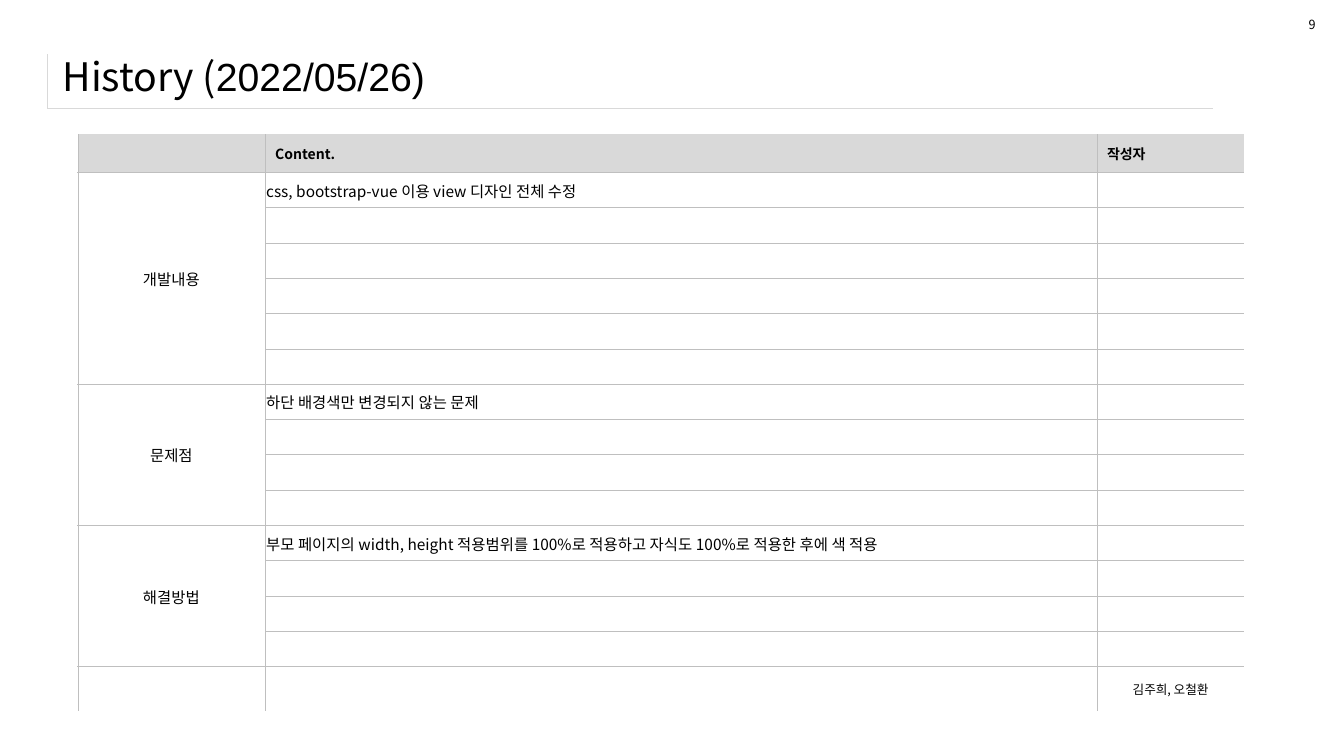
from pptx import Presentation
from pptx.dml.color import RGBColor
from pptx.enum.text import MSO_ANCHOR, PP_ALIGN
from pptx.oxml.ns import qn
from pptx.util import Inches, Pt
from lxml.etree import SubElement

TITLE = [("History (", "Noto Sans CJK KR"), ("2022/05/26)", "Arial")]
PAGE = "9"
HEADER = ["", "Content.", "작성자"]
SECTIONS = [  # label, first entry, number of rows
    ("개발내용", "css, bootstrap-vue 이용 view 디자인 전체 수정", 6),
    ("문제점", "하단 배경색만 변경되지 않는 문제", 4),
    ("해결방법", "부모 페이지의 width, height 적용범위를 100%로 적용하고 "
     "자식도 100%로 적용한 후에 색 적용", 4),
]
AUTHORS = "김주희, 오철환"

FONT = "Noto Sans CJK KR"
BLACK = RGBColor(0, 0, 0)
WHITE = RGBColor(255, 255, 255)
HEAD_GREY = RGBColor(0xD9, 0xD9, 0xD9)
LINE_GREY = RGBColor(0xBF, 0xBF, 0xBF)
NO_STYLE = "{2D5ABB26-0587-4C30-8999-92F81FD0307C}"

COLS = [1.86, 8.25, 1.46]
ROWS = [0.38] + [0.35] * sum(n for _, _, n in SECTIONS) + [0.45]


def add_run(p, text, size, font=FONT, bold=False):
    r = p.add_run()
    r.text = text
    for name, value in dict(size=Pt(size), name=font, bold=bold).items():
        setattr(r.font, name, value)
    r.font.color.rgb = BLACK
    SubElement(r.font._element, qn("a:ea"), typeface=font)


def set_borders(cell, **sides):
    """Each of L, R, T, B is a (colour, points) pair; a side left out is not drawn."""
    tc_pr = cell._tc.get_or_add_tcPr()
    for i, side in enumerate("LRTB"):
        color, width = sides.get(side) or (None, 0)
        ln = SubElement(tc_pr, qn("a:ln" + side), w=str(Pt(width)))
        if color is None:
            SubElement(ln, qn("a:noFill"))
        else:
            fill = SubElement(ln, qn("a:solidFill"))
            SubElement(fill, qn("a:srgbClr"), val=str(color))
        tc_pr.insert(i, ln)


def add_plain_table(s, left, top, cols, rows):
    table = s.shapes.add_table(len(rows), len(cols), Inches(left), Inches(top),
                               Inches(sum(cols)), Inches(sum(rows))).table
    table.first_row = table.horz_banding = False
    table._tbl.tblPr.find(qn("a:tableStyleId")).text = NO_STYLE
    for col, width in zip(table.columns, cols):
        col.width = Inches(width)
    for row, height in zip(table.rows, rows):
        row.height = Inches(height)
    return table


def write_cell(cell, text, size, bold=False, align=PP_ALIGN.LEFT, tight=False):
    cell.vertical_anchor = MSO_ANCHOR.MIDDLE
    if tight:
        cell.margin_left = cell.margin_right = cell.margin_top = Inches(0.01)
        cell.margin_bottom = 0
    p = cell.text_frame.paragraphs[0]
    p.alignment = align
    if text:
        add_run(p, text, size, bold=bold)
    else:
        SubElement(p._p, qn("a:endParaRPr"), sz=str(size * 100))


def add_title(s):
    frame = add_plain_table(s, 0.47, 0.54, [11.56], [0.53]).cell(0, 0)
    set_borders(frame, L=(HEAD_GREY, 0.25), B=(HEAD_GREY, 0.25))
    write_cell(frame, "", 11)
    title = s.shapes.title
    box = dict(left=0.52, top=0.44, width=12.49, height=0.63)
    for name, value in box.items():
        setattr(title, name, Inches(value))
    tf = title.text_frame
    tf.vertical_anchor = MSO_ANCHOR.MIDDLE
    p = tf.paragraphs[0]
    p.alignment = PP_ALIGN.LEFT
    for text, font in TITLE:
        add_run(p, text, 28, font)


def add_history(s):
    table = add_plain_table(s, 0.77, 1.33, COLS, ROWS)
    last_row, last_col = len(ROWS) - 1, len(COLS) - 1
    texts = {(0, c): text for c, text in enumerate(HEADER)}
    texts[last_row, last_col] = AUTHORS
    top = 1
    for label, entry, count in SECTIONS:
        texts[top, 0], texts[top, 1] = label, entry
        table.cell(top, 0).merge(table.cell(top + count - 1, 0))
        top += count

    grey = (LINE_GREY, 0.25)
    for r in range(len(ROWS)):
        for c in range(len(COLS)):
            cell = table.cell(r, c)
            head, foot = r == 0, r == last_row
            centred = not head and c != 1
            write_cell(cell, texts.get((r, c), ""),
                       10 if head else 9 if foot else 11, bold=head,
                       align=PP_ALIGN.CENTER if centred else PP_ALIGN.LEFT,
                       tight=not head and not foot)
            set_borders(cell, L=grey, R=None if c == last_col else grey,
                        T=None if head else grey,
                        B=(WHITE, 1) if foot else grey)
            if head:
                cell.fill.solid()
                cell.fill.fore_color.rgb = HEAD_GREY


def add_page_number(s):
    box = s.shapes.add_textbox(Inches(12.88), Inches(0.12), Inches(0.27), Inches(0.25))
    box.text_frame.word_wrap = False
    add_run(box.text_frame.paragraphs[0], PAGE, 9)


def main():
    prs = Presentation()
    prs.slide_width, prs.slide_height = Inches(13.33), Inches(7.5)
    s = prs.slides.add_slide(prs.slide_layouts[5])
    add_title(s)
    add_history(s)
    add_page_number(s)
    prs.save("out.pptx")


if __name__ == "__main__":
    main()
